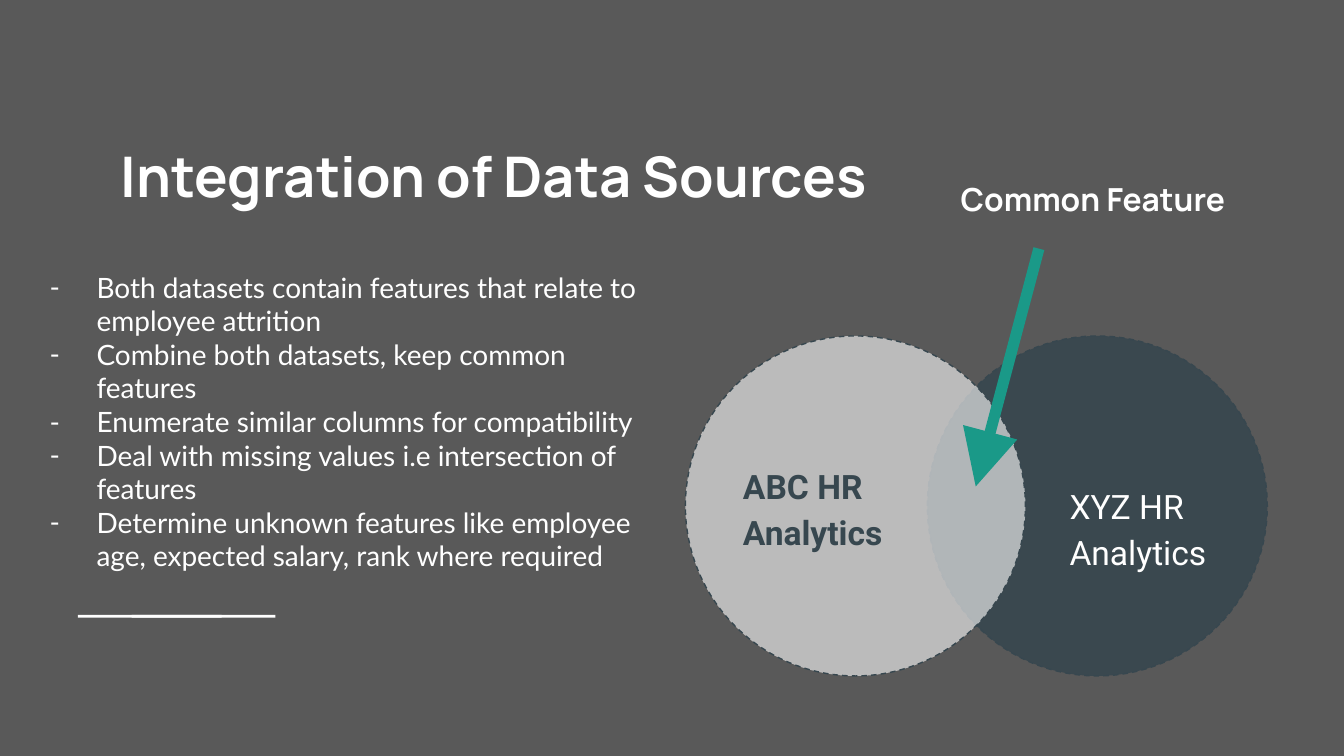
"""Build the slide on joining two HR data sources."""
from lxml.etree import SubElement
from pptx import Presentation
from pptx.dml.color import RGBColor
from pptx.enum.dml import MSO_LINE
from pptx.enum.shapes import MSO_CONNECTOR, MSO_SHAPE
from pptx.enum.text import MSO_ANCHOR
from pptx.oxml.ns import qn
from pptx.util import Inches, Pt

THEME = {
    "back": "595959", "white": "FFFFFF", "slate": "37474F",
    "pale": "EFEFEF", "teal": "1A9988",
    "title": ("Manrope", 30, True), "label": ("Manrope", 17, True),
    "body": ("Lato", 15, False),
    "plain": ("Roboto", 18, False), "strong": ("Roboto", 18, True),
}

WIDE, COLS = 10, 100
HIGH = WIDE * 9 / 16
TITLE = ("Integration of Data Sources", (8, 9.5, 76.8, 7.4))
LABEL = ("Common Feature", (70.5, 10.5, 22, 8.6))
POINTS = [
    "Both datasets contain features that relate to employee attrition",
    "Combine both datasets, keep common features",
    "Enumerate similar columns for compatibility",
    "Deal with missing values i.e intersection of features",
    "Determine unknown features like employee age, expected salary, rank where required",
]
LIST_BOX = (1.2, 19.1, 49.8, 30.4)
CIRCLES = [
    ("XYZ HR Analytics", 69, "slate", 91, "plain", "white", (78.6, 35.6)),
    ("ABC HR Analytics", 51, "pale", 66, "strong", "slate", (54.3, 34.1)),
]
TOP, SIZE, NAME_SIZE = 25, 25.3, (14.7, 7.1)
ARROW = (72.6, 36.2, 77.3, 18.5)
BARS, BAR_TOP, BAR_SIZE = (5.8, 9.8), 45.75, (10.7, 0.2)


def color(name):
    return RGBColor.from_string(THEME[name])


def grid(*units):
    return [Inches(unit * WIDE / COLS) for unit in units]


def add_dash(para, face, tint):
    props = para._p.get_or_add_pPr()
    props.set("marL", str(Inches(0.5)))
    props.set("indent", str(Inches(-0.35)))
    shade = SubElement(props, qn("a:buClr"))
    SubElement(shade, qn("a:srgbClr"), val=THEME[tint])
    SubElement(props, qn("a:buFont"), typeface=face)
    SubElement(props, qn("a:buChar"), char="-")


def add_text(slide, lines, box, style, tint="white", middle=False, space=None, dash=False):
    frame = slide.shapes.add_textbox(*grid(*box)).text_frame
    frame.word_wrap = True
    frame.margin_left = frame.margin_right = Inches(0.1)
    frame.margin_top = frame.margin_bottom = Inches(0.1)
    frame.vertical_anchor = MSO_ANCHOR.MIDDLE if middle else MSO_ANCHOR.TOP
    frame.text = "\n".join(lines)
    face, size, bold = THEME[style]
    for para in frame.paragraphs:
        if dash:
            add_dash(para, face, tint)
        if space:
            para.line_spacing = space
        font = para.font
        font.name, font.size, font.bold = face, Pt(size), bold
        font.color.rgb = color(tint)


def add_form(slide, kind, box, tint):
    form = slide.shapes.add_shape(kind, *grid(*box))
    form.shadow.inherit = False
    form.fill.solid()
    form.fill.fore_color.rgb = color(tint)
    form.line.fill.background()
    return form


def add_circle(slide, name, left, tint, alpha, style, ink, spot):
    disc = add_form(slide, MSO_SHAPE.OVAL, (left, TOP, SIZE, SIZE), tint)
    shade = disc._element.spPr.find(qn("a:solidFill"))[0]
    SubElement(shade, qn("a:alpha"), val=str(alpha * 1000))
    disc.line.color.rgb = color("slate")
    disc.line.width = Pt(0.75)
    disc.line.dash_style = MSO_LINE.DASH
    add_text(slide, [name], spot + NAME_SIZE, style, ink, True, 1.15)


def add_arrow(slide):
    arrow = slide.shapes.add_connector(MSO_CONNECTOR.STRAIGHT, *grid(*ARROW))
    arrow.line.color.rgb = color("teal")
    arrow.line.width = Pt(6)
    line = arrow.line._get_or_add_ln()
    SubElement(line, qn("a:headEnd"), type="triangle", w="lg", len="lg")
    SubElement(arrow._element.spPr, qn("a:effectLst"))


def main():
    deck = Presentation()
    deck.slide_width, deck.slide_height = Inches(WIDE), Inches(HIGH)
    slide = deck.slides.add_slide(deck.slide_layouts[6])
    slide.background.fill.solid()
    slide.background.fill.fore_color.rgb = color("back")
    for left in BARS:
        add_form(slide, MSO_SHAPE.RECTANGLE, (left, BAR_TOP) + BAR_SIZE, "white")
    add_text(slide, [TITLE[0]], TITLE[1], "title")
    add_text(slide, POINTS, LIST_BOX, "body", dash=True)
    for circle in CIRCLES:
        add_circle(slide, *circle)
    add_arrow(slide)
    add_text(slide, [LABEL[0]], LABEL[1], "label", middle=True)
    deck.save("out.pptx")


if __name__ == "__main__":
    main()
